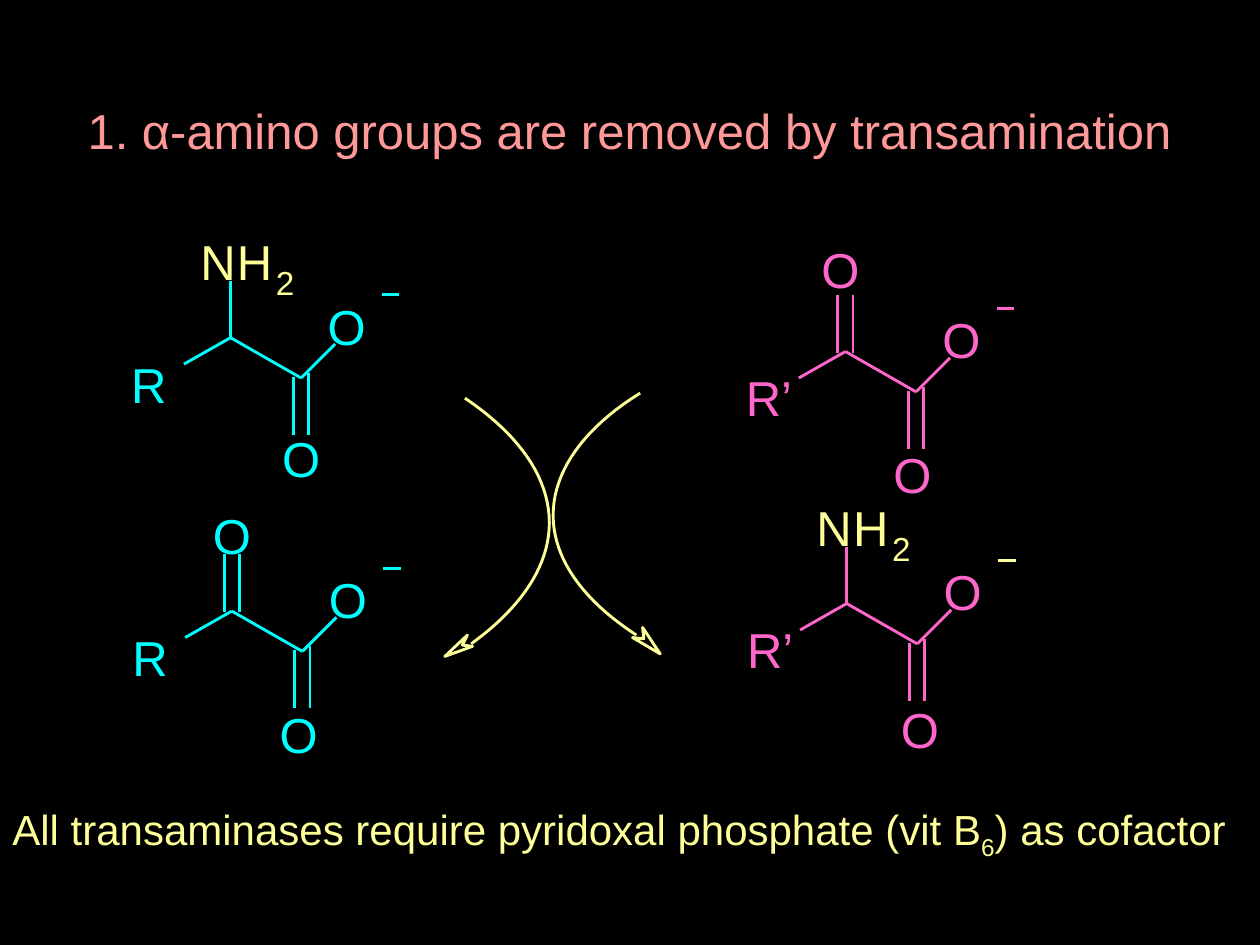
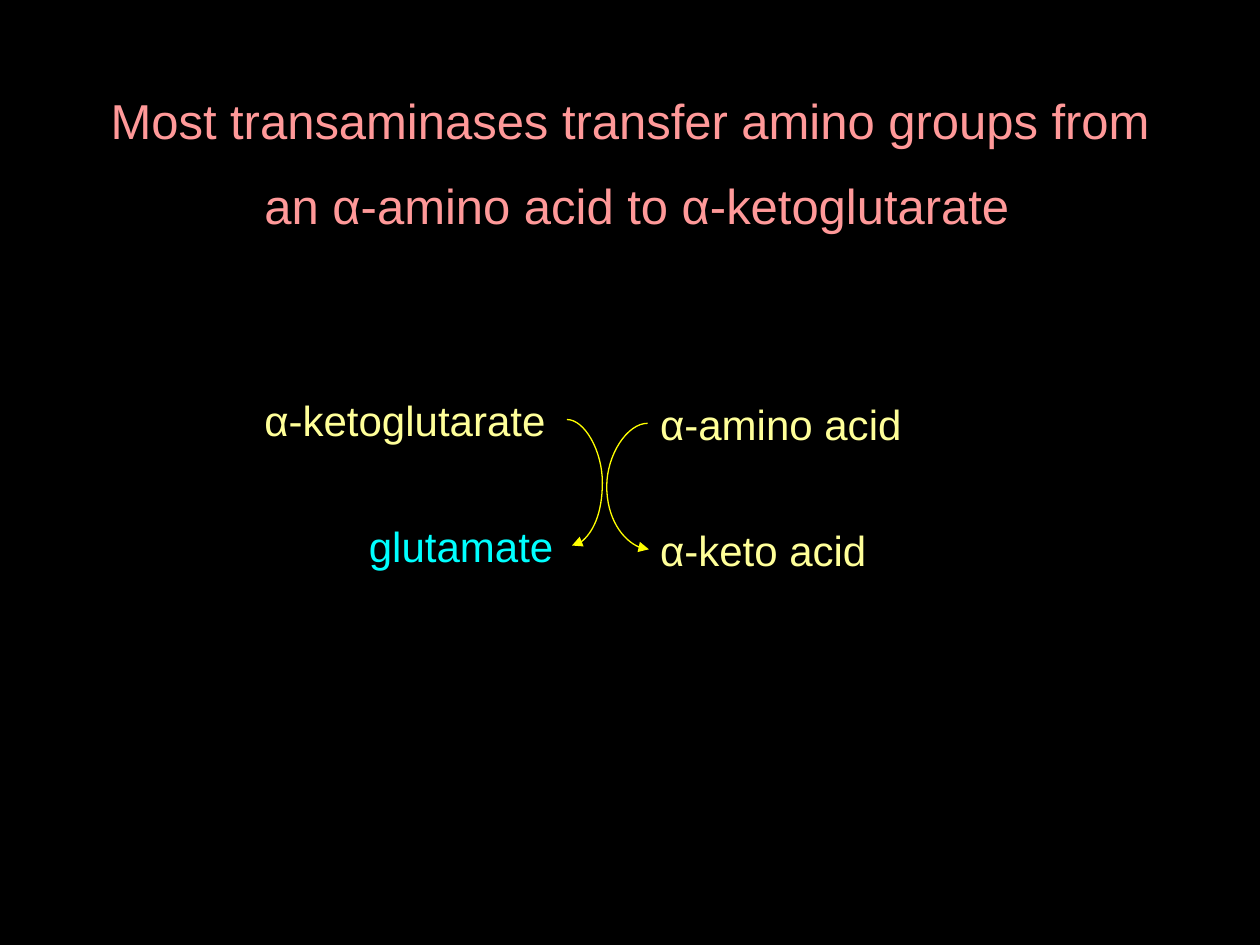
from dataclasses import dataclass

from lxml import etree
from pptx import Presentation
from pptx.dml.color import RGBColor
from pptx.enum.shapes import MSO_CONNECTOR
from pptx.enum.text import MSO_ANCHOR, MSO_AUTO_SIZE, PP_ALIGN
from pptx.oxml.ns import qn
from pptx.util import Inches, Pt

STRAIGHT, CURVE = MSO_CONNECTOR.STRAIGHT, MSO_CONNECTOR.CURVE
TOP, CENTER, LEFT = MSO_ANCHOR.TOP, PP_ALIGN.CENTER, PP_ALIGN.LEFT
FIT_SHAPE, NO_FIT = MSO_AUTO_SIZE.SHAPE_TO_FIT_TEXT, MSO_AUTO_SIZE.NONE


@dataclass(frozen=True)
class Theme:
    font: str = "Arial"
    background: str = "000000"
    title: str = "FF9999"
    pale: str = "FFFF99"
    cyan: str = "00FFFF"
    pink: str = "FF66CC"
    yellow: str = "FFFF00"
    title_size: float = 28
    body_size: float = 24
    atom_size: float = 28
    index_size: float = 19
    title_gap: float = 15
    bond: float = 1.63
    charge: float = 1.5
    thin: float = 0.75


THEME = Theme()

REMOVAL_TITLE = (["1. α-amino groups are removed by transamination"],
                 (0.33, 0.75, 9.33, 0.57))
TRANSFER_TITLE = (["Most transaminases transfer amino groups from",
                   " an α-amino acid to α-ketoglutarate"],
                  (0.25, 0.67, 9.5, 1.27))

COFACTOR = ["All transaminases require pyridoxal phosphate (vit B", "6", ") as cofactor"]
COFACTOR_BOX = (0, 6.33, 10, 0.5)

# alpha carbon, residue, group, colour, charge colour, group atom, lower oxygen
MOLECULES = [
    ((1.83, 2.68), "R", "amine", THEME.cyan, THEME.cyan, (-0.24, -0.84), (0.41, 0.72)),
    ((1.84, 4.85), "R", "keto", THEME.cyan, THEME.cyan, (-0.15, -0.84), (0.38, 0.74)),
    ((6.71, 2.79), "R’", "keto", THEME.pink, THEME.pink, (-0.19, -0.89), (0.38, 0.74)),
    ((6.72, 4.79), "R’", "amine", THEME.pink, THEME.pale, (-0.24, -0.84), (0.43, 0.76)),
]
ATOM_WIDTHS = {"R": 0.28, "R’": 0.37, "O": 0.3, "N": 0.28, "H": 0.28, "2": 0.15}
BACKBONE = [
    ((-0.37, 0.21), (0, 0)),
    ((0, 0), (0.56, 0.32)),
    ((0.56, 0.32), (0.83, 0.05)),
    ((0.5, 0.31), (0.5, 0.77)),
    ((0.62, 0.28), (0.62, 0.77)),
]
GROUP_BONDS = {
    "amine": [((0, 0), (0, -0.45))],
    "keto": [((x, 0.01), (x, -0.45)) for x in (-0.06, 0.06)],
}
GROUP_ATOMS = {
    "amine": [("N", 0, 0), ("H", 0.29, 0), ("2", 0.6, 0.24)],
    "keto": [("O", 0, 0)],
}
CHARGE = ((1.2, -0.34), (1.34, -0.34))

EXCHANGE_CURVES = [
    [(3.69, 3.16), (4.12, 3.45), (4.36, 3.79), (4.36, 4.15),
     (4.36, 4.49), (4.14, 4.82), (3.74, 5.11)],
    [(5.08, 3.12), (4.63, 3.4), (4.39, 3.74), (4.39, 4.09),
     (4.39, 4.43), (4.62, 4.76), (5.05, 5.04)],
]
EXCHANGE_HEADS = [
    [(3.75, 5.13), (3.53, 5.21), (3.71, 5.04), (3.67, 5.12)],
    [(5.1, 4.98), (5.24, 5.19), (5.02, 5.06), (5.11, 5.07)],
]

COMPOUNDS = [
    ("α-ketoglutarate", (2, 3.08, 2.5, 0.5), THEME.pale),
    ("glutamate", (2.83, 4.08, 1.7, 0.5), THEME.cyan),
    ("α-amino acid", (5.14, 3.11, 2.25, 0.5), THEME.pale),
    ("α-keto acid", (5.14, 4.11, 2.67, 0.5), THEME.pale),
]
TRANSFER_ARROWS = [
    ((4.5, 3.33), (4.54, 4.33), 4.78),
    ((5.14, 3.36), (5.15, 4.36), 4.81),
]


def inches(values):
    return [Inches(value) for value in values]


def shift(origin, offset):
    return origin[0] + offset[0], origin[1] + offset[1]


def style_runs(paragraph, size, color):
    for run in paragraph.runs:
        run.font.name = THEME.font
        run.font.size = Pt(size)
        run.font.color.rgb = RGBColor.from_string(color)


def style_line(shape, color, width):
    shape.line.color.rgb = RGBColor.from_string(color)
    shape.line.width = Pt(width)


def add_titled_slide(deck, lines, box):
    slide = deck.slides.add_slide(deck.slide_layouts[5])
    title = slide.shapes.title
    title.left, title.top, title.width, title.height = inches(box)
    frame = title.text_frame
    frame.text = "\n".join(lines)
    frame.word_wrap = True
    frame.auto_size = NO_FIT
    frame.vertical_anchor = TOP
    for index, paragraph in enumerate(frame.paragraphs):
        paragraph.alignment = CENTER
        paragraph.space_before = Pt(THEME.title_gap if index else 0)
        style_runs(paragraph, THEME.title_size, THEME.title)
    return slide


def add_label(slide, parts, box, color):
    frame = slide.shapes.add_textbox(*inches(box)).text_frame
    frame.word_wrap = True
    paragraph = frame.paragraphs[0]
    paragraph.alignment = LEFT
    for part in parts:
        paragraph.add_run().text = part
    style_runs(paragraph, THEME.body_size, color)
    return paragraph


def add_atom(slide, symbol, place, color):
    is_index = symbol.isdigit()
    size = THEME.index_size if is_index else THEME.atom_size
    box = (*place, ATOM_WIDTHS[symbol], 0.32 if is_index else 0.47)
    frame = slide.shapes.add_textbox(*inches(box)).text_frame
    frame.margin_left = frame.margin_top = frame.margin_right = frame.margin_bottom = 0
    frame.word_wrap = False
    frame.auto_size = FIT_SHAPE
    frame.text = symbol
    style_runs(frame.paragraphs[0], size, color)


def add_line(slide, start, end, color, width, kind=STRAIGHT):
    line = slide.shapes.add_connector(kind, *inches((*start, *end)))
    style_line(line, color, width)
    etree.SubElement(line._element.spPr, qn("a:effectLst"))
    return line


def add_molecule(slide, carbon, residue, group, color, charge_color, group_place, oxygen_place):
    for start, end in BACKBONE + GROUP_BONDS[group]:
        add_line(slide, shift(carbon, start), shift(carbon, end), color, THEME.bond)
    start, end = CHARGE
    add_line(slide, shift(carbon, start), shift(carbon, end), charge_color, THEME.charge)
    for symbol, offset in ((residue, (-0.79, 0.13)), ("O", (0.77, -0.33)), ("O", oxygen_place)):
        add_atom(slide, symbol, shift(carbon, offset), color)
    group_color = THEME.pale if group == "amine" else color
    for symbol, *offset in GROUP_ATOMS[group]:
        add_atom(slide, symbol, shift(shift(carbon, group_place), offset), group_color)


def bezier_points(controls, steps=20):
    points = [controls[0]]
    for first in range(0, len(controls) - 1, 3):
        segment = controls[first:first + 4]
        for step in range(1, steps + 1):
            t = step / steps
            weights = ((1 - t) ** 3, 3 * t * (1 - t) ** 2, 3 * t * t * (1 - t), t ** 3)
            points.append(tuple(sum(w * point[axis] for w, point in zip(weights, segment))
                                for axis in (0, 1)))
    return points


def add_outline(slide, points, close):
    start, *rest = [inches(point) for point in points]
    builder = slide.shapes.build_freeform(*start)
    builder.add_line_segments(rest, close=close)
    outline = builder.convert_to_shape()
    outline.fill.background()
    outline.shadow.inherit = False
    style_line(outline, THEME.pale, THEME.bond)


def add_transfer_arrow(slide, start, end, bulge):
    arrow = add_line(slide, start, end, THEME.yellow, THEME.thin, CURVE)
    ratio = (bulge - start[0]) / (end[0] - start[0])
    guides = arrow._element.spPr.find(qn("a:prstGeom")).get_or_add_avLst()
    etree.SubElement(guides, qn("a:gd"), name="adj1", fmla=f"val {round(ratio * 100000)}")
    etree.SubElement(arrow.line._get_or_add_ln(), qn("a:tailEnd"), type="triangle")


def build_removal(deck):
    slide = add_titled_slide(deck, *REMOVAL_TITLE)
    cofactor = add_label(slide, COFACTOR, COFACTOR_BOX, THEME.pale)
    cofactor.runs[1]._r.get_or_add_rPr().set("baseline", "-25000")
    for molecule in MOLECULES:
        add_molecule(slide, *molecule)
    for controls in EXCHANGE_CURVES:
        add_outline(slide, bezier_points(controls), close=False)
    for head in EXCHANGE_HEADS:
        add_outline(slide, head, close=True)


def build_transfer(deck):
    slide = add_titled_slide(deck, *TRANSFER_TITLE)
    for name, box, color in COMPOUNDS:
        add_label(slide, [name], box, color)
    for arrow in TRANSFER_ARROWS:
        add_transfer_arrow(slide, *arrow)


def main():
    deck = Presentation()
    deck.slide_width, deck.slide_height = Inches(10), Inches(7.5)
    backdrop = deck.slide_master.background.fill
    backdrop.solid()
    backdrop.fore_color.rgb = RGBColor.from_string(THEME.background)
    build_removal(deck)
    build_transfer(deck)
    deck.save("out.pptx")


if __name__ == "__main__":
    main()
